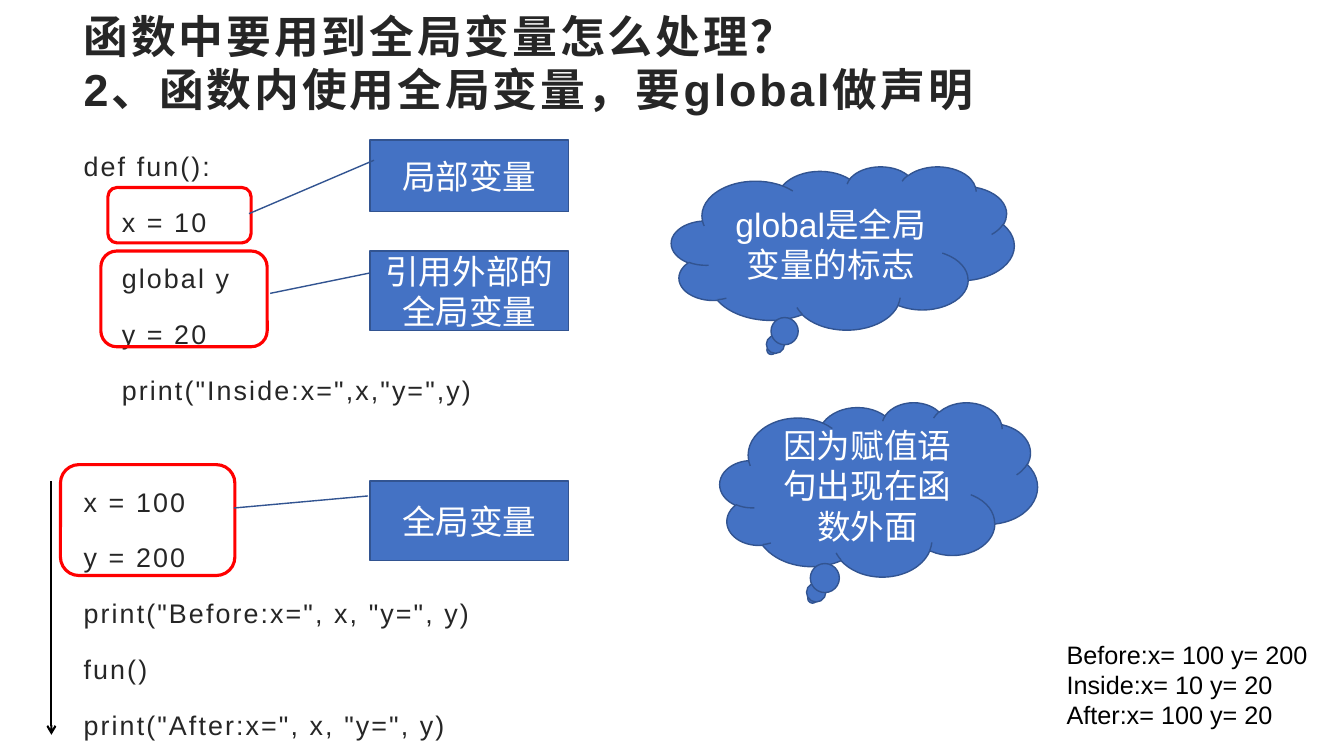
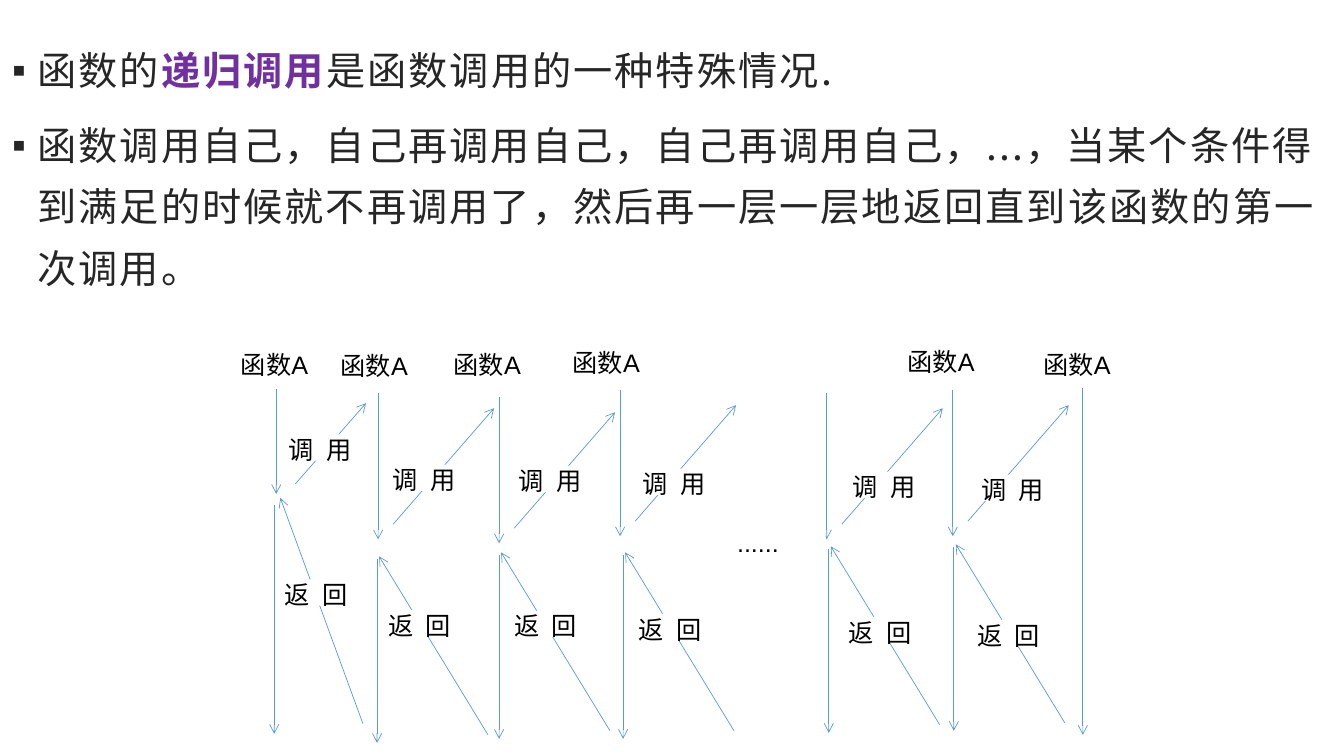
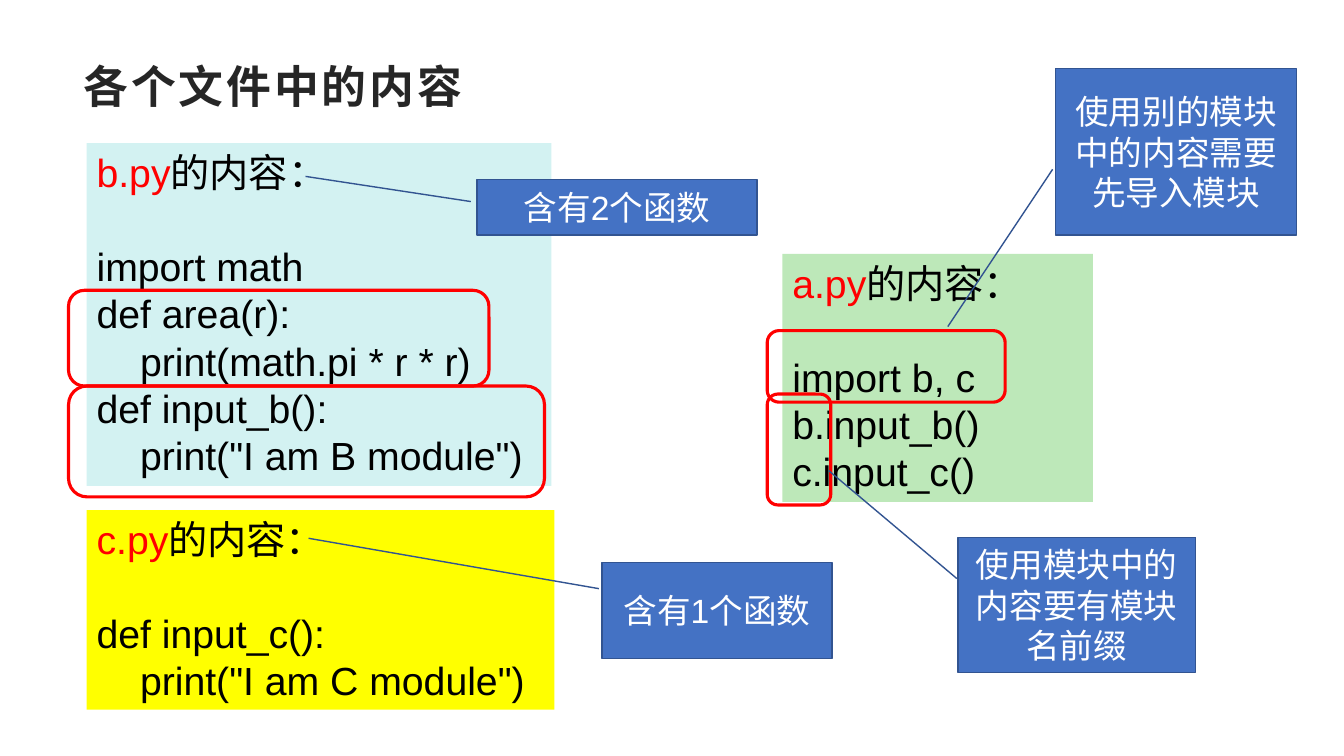
from lxml import etree
from pptx import Presentation
from pptx import util as u
from pptx.dml.color import RGBColor
from pptx.enum import shapes, text
from pptx.oxml import ns

# ---- Theme ----
COLOR = dict(ink="262626", black="000000", white="FFFFFF", red="FF0000", purple="7030A0",
             note="4472C4", note_edge="325491", flow="5B9BD5",
             cyan="D3F2F2", yellow="FFFF00", green="BDE8B9")
LATIN, CJK = "Arial", "Noto Sans CJK SC"
LEFT, CENTER = text.PP_ALIGN.LEFT, text.PP_ALIGN.CENTER
TOP, MIDDLE = text.MSO_ANCHOR.TOP, text.MSO_ANCHOR.MIDDLE
STYLE = dict(
    title=dict(size=32, color="ink", bold=True, spc=2, anchor=MIDDLE),
    code=dict(size=19.2, color="ink", spc=1.5, bullet=None,
              para=dict(line_spacing=1.3, space_after=u.Pt(10))),
    points=dict(size=28, color="ink", spc=1.5, font=CJK, bullet="▪",
                para=dict(line_spacing=1.3, space_after=u.Pt(10))),
    note=dict(size=24, color="white", anchor=MIDDLE, align=CENTER),
    panel=dict(size=28, color="black"),
    output=dict(size=18, color="black"),
    label=dict(size=18, color="black", inset=(0, 0)),
    spaced=dict(size=18, color="black", inset=(0, 0), spc=2.5),
    dots=dict(size=18, color="black", inset=(0, 0.05)),
)
SHAPE = shapes.MSO_SHAPE
MARK, ALT_MARK = SHAPE.ROUNDED_RECTANGLE, SHAPE.FLOWCHART_ALTERNATE_PROCESS
CALLOUT, CLOUD = SHAPE.LINE_CALLOUT_1, SHAPE.CLOUD_CALLOUT

# ---- Content: global variables ----
GLOBAL_TITLE = "函数中要用到全局变量怎么处理？\v2、函数内使用全局变量，要global做声明"
# A code line given as (gap before in points, runs) starts a new block.
GLOBAL_CODE = ["def fun():", "    x = 10", "    global y", "    y = 20",
               '    print("Inside:x=",x,"y=",y)', (40, "x = 100"), "y = 200",
               'print("Before:x=", x, "y=", y)', "fun()", 'print("After:x=", x, "y=", y)']
GLOBAL_OUTPUT = ["Before:x= 100 y= 200", "Inside:x= 10 y= 20", "After:x= 100 y= 20"]
GLOBAL_MARKS = [(MARK, (1.07, 1.86, 1.42, 0.55)), (MARK, (1, 2.49, 1.65, 0.95)),
                (ALT_MARK, (0.6, 4.61, 1.73, 1.1))]
# Callouts: text, box, line start and line end on the slide
GLOBAL_NOTES = [
    ("局部变量", (3.67, 1.39, 1.97, 0.71), (3.71, 1.59), (2.47, 2.12)),
    ("引用外部的全局变量", (3.67, 2.49, 1.97, 0.79), (3.66, 2.71), (2.68, 2.91)),
    ("全局变量", (3.67, 4.77, 1.97, 0.79), (3.65, 4.92), (2.32, 5.04)),
]
GLOBAL_CLOUDS = [("global是全局变量的标志", (6.66, 1.65, 3.4, 1.62)),
                 ("因为赋值语句出现在函数外面", (7.14, 3.99, 3.15, 1.73))]

# ---- Content: recursion ----
RECURSION_POINTS = [
    ["函数的", ("递归调用", dict(color="purple", bold=True)), "是函数调用的一种特殊情况."],
    "函数调用自己，自己再调用自己，自己再调用自己，...，当某个条件得到满足的时候就不再调用了，"
    "然后再一层一层地返回直到该函数的第一次调用。",
]
# Steps of one level: start offset, then run of the arrow
FIRST = dict(down=1.04, call=((0.19, 0.94), (0.7, -0.8)), back=(0.82, 2.24),
             rest=((-0.06, 0.07), 2.27))
DEEPER = dict(down=1.45, call=((0.15, 1.3), (1, -1.15)), back=(1.08, 1.77),
              rest=((-0.02, 0.03), 1.82))
# Levels: top of the descent, tip of the return, place of the call label
LEVELS = [
    (FIRST, (2.74, 3.86), (2.78, 4.94), (2.86, 4.31)),
    (DEEPER, (3.75, 3.9), (3.76, 5.52), (3.89, 4.61)),
    (DEEPER, (4.95, 3.94), (4.97, 5.48), (5.14, 4.62)),
    (DEEPER, (6.15, 3.87), (6.2, 5.48), (6.37, 4.65)),
    (DEEPER, (8.2, 3.9), (8.24, 5.42), (8.46, 4.68)),
    (DEEPER, (9.45, 3.87), (9.48, 5.4), (9.73, 4.71)),
]
LAST_LEVEL = (10.74, 3.85), (10.74, 7.29)
FUNCTION_LABELS = [(2.39, 3.47), (3.38, 3.48), (4.5, 3.47),
                   (5.68, 3.45), (9, 3.44), (10.35, 3.47)]

# ---- Content: module files ----
FILES_TITLE = "各个文件中的内容"
FILES = [
    ("b.py", "cyan", (0.86, 1.42, 4.61, 3.4),
     ["import math", "def area(r):", "    print(math.pi * r * r)",
      "def input_b():", '    print("I am B module")']),
    ("c.py", "yellow", (0.86, 5.06, 4.64, 1.98),
     ["def input_c():", '    print("I am C module")']),
    ("a.py", "green", (7.76, 2.52, 3.08, 2.46),
     ["import b, c", "b.input_b()", "c.input_c()"]),
]
FILE_MARKS = [(MARK, box) for box in [
    (0.68, 2.88, 4.17, 0.95), (0.68, 3.83, 4.72, 1.1),
    (7.61, 3.28, 2.36, 0.71), (7.61, 3.91, 0.63, 1.1)]]
FILE_NOTES = [
    ("含有2个函数", (4.73, 1.78, 2.78, 0.55), (4.67, 2), (3.03, 1.75)),
    ("含有1个函数", (5.97, 5.58, 2.28, 0.95), (5.94, 5.84), (3.06, 5.34)),
    ("使用别的模块中的内容需要先导入模块", (10.47, 0.68, 2.39, 1.65), (10.44, 1.68), (9.4, 3.24)),
    ("使用模块中的内容要有模块名前缀", (9.5, 5.33, 2.36, 1.34), (9.49, 5.74), (8.22, 4.67)),
]


# ---- Helpers ----
def rgb(name):
    return RGBColor.from_string(COLOR[name])


def add_xml(parent, tag, **attributes):
    return etree.SubElement(parent, ns.qn(tag), attributes)


def inches(values):
    return [u.Inches(v) for v in values]


def format_run(run, style):
    formats = dict(size=u.Pt(style["size"]), bold=style.get("bold", False),
                   name=style.get("font", LATIN))
    for key, value in formats.items():
        setattr(run.font, key, value)
    run.font.color.rgb = rgb(style["color"])
    properties = run._r.get_or_add_rPr()
    if "spc" in style:
        properties.set("spc", str(round(style["spc"] * 100)))
    add_xml(properties, "a:ea", typeface=CJK)


def set_bullet(paragraph, mark):
    properties = paragraph._p.get_or_add_pPr()
    indent = u.Inches(0.25) if mark else 0
    properties.set("marL", str(indent))
    properties.set("indent", str(-indent))
    if mark:
        add_xml(properties, "a:buFont", typeface=LATIN)
        add_xml(properties, "a:buChar", char=mark)
    else:
        add_xml(properties, "a:buNone")


def write(shape, lines, style_name):
    style = STYLE[style_name]
    frame = shape.text_frame
    across, down = inches(style.get("inset", (0.1, 0.05)))
    formats = dict(word_wrap=True, auto_size=text.MSO_AUTO_SIZE.NONE,
                   vertical_anchor=style.get("anchor", TOP),
                   margin_left=across, margin_right=across, margin_top=down, margin_bottom=down)
    for key, value in formats.items():
        setattr(frame, key, value)
    for i, line in enumerate(lines):
        gap, runs = line if isinstance(line, tuple) else (0, line)
        paragraph = frame.add_paragraph() if i else frame.paragraphs[0]
        if "bullet" in style:
            set_bullet(paragraph, style["bullet"])
        paragraph.alignment = style.get("align", LEFT)
        paragraph.space_before = u.Pt(gap)
        for key, value in style.get("para", {}).items():
            setattr(paragraph, key, value)
        for part in [runs] if isinstance(runs, str) else runs:
            words, changes = part if isinstance(part, tuple) else (part, {})
            for n, piece in enumerate(words.split("\v")):
                if n:
                    paragraph.add_line_break()
                run = paragraph.add_run()
                run.text = piece
                format_run(run, {**style, **changes})


def fill_placeholder(shape, box, lines, style_name):
    shape.left, shape.top, shape.width, shape.height = inches(box)
    write(shape, lines, style_name)


def add_title(slide, words, top, height):
    fill_placeholder(slide.shapes.title, (0.73, top, 11.87, height), [words], "title")


def add_box(slide, kind, box, fill=None, edge=None, width=1):
    shape = slide.shapes.add_shape(kind, *inches(box))
    shape.shadow.inherit = False
    for part, color in ((shape.fill, fill), (shape.line.fill, edge)):
        if color:
            part.solid()
            part.fore_color.rgb = rgb(color)
        else:
            part.background()
    if edge:
        shape.line.width = u.Pt(width)
    return shape


def add_marks(slide, marks):
    for kind, box in marks:
        add_box(slide, kind, box, edge="red", width=2.25)


def add_note(slide, kind, words, box):
    shape = add_box(slide, kind, box, "note", "note_edge")
    write(shape, [words], "note")
    return shape


def add_callouts(slide, notes):
    for words, box, start, end in notes:
        shape = add_note(slide, CALLOUT, words, box)
        left, top, width, height = box
        shares = [share for x, y in (start, end)
                  for share in ((y - top) / height, (x - left) / width)]
        for i, share in enumerate(shares):
            shape.adjustments[i] = share


def add_arrow(slide, start, end, color="flow", width=0.5):
    arrow = slide.shapes.add_connector(shapes.MSO_CONNECTOR.STRAIGHT, *inches(start + end))
    arrow.line.color.rgb = rgb(color)
    arrow.line.width = u.Pt(width)
    add_xml(arrow.line._get_or_add_ln(), "a:tailEnd", type="arrow")
    add_xml(arrow._element.spPr, "a:effectLst")


def add_label(slide, words, place, style_name="label", size=(0.82, 0.26)):
    write(add_box(slide, SHAPE.RECTANGLE, place + size, "white"), [words], style_name)


def move(point, by):
    return point[0] + by[0], point[1] + by[1]


# ---- Slides ----
def build_globals(slide):
    add_title(slide, GLOBAL_TITLE, 0, 1.23)
    fill_placeholder(slide.placeholders[1], (0.73, 1.34, 11.87, 6.16), GLOBAL_CODE, "code")
    add_marks(slide, GLOBAL_MARKS)
    add_callouts(slide, GLOBAL_NOTES)
    for words, box in GLOBAL_CLOUDS:
        add_note(slide, CLOUD, words, box)
    add_arrow(slide, (0.51, 4.77), (0.51, 7.29), "black", 1.5)
    output = slide.shapes.add_textbox(*inches((10.48, 6.29, 2.78, 1.01)))
    write(output, GLOBAL_OUTPUT, "output")


def build_recursion(slide):
    heading = slide.shapes.title._element
    heading.getparent().remove(heading)
    fill_placeholder(slide.placeholders[1], (0.02, 0.27, 13.32, 5.16),
                     RECURSION_POINTS, "points")
    for steps, top, tip, _ in LEVELS:
        call_start, call_run = steps["call"]
        rest_start, rest_length = steps["rest"]
        call, rest = move(top, call_start), move(tip, rest_start)
        add_arrow(slide, top, move(top, (0, steps["down"])))
        add_arrow(slide, call, move(call, call_run))
        add_arrow(slide, move(tip, steps["back"]), tip)
        add_arrow(slide, rest, move(rest, (0, rest_length)))
    add_arrow(slide, *LAST_LEVEL)
    add_label(slide, "......", (7.31, 5.18), "dots", (0.88, 0.41))
    for place in FUNCTION_LABELS:
        add_label(slide, "函数A", place)
    for *_, place in LEVELS:
        add_label(slide, "调 用", place, "spaced")
        add_label(slide, "返 回", move(place, (-0.04, 1.44)), "spaced")
    # The descent beside the dots stays above their box
    steps, top, *_ = LEVELS[4]


def build_files(slide):
    add_title(slide, FILES_TITLE, 0.48, 0.74)
    for name, color, box, (first, *others) in FILES:
        heading = [(name, dict(color="red")), "的内容："]
        panel = add_box(slide, SHAPE.RECTANGLE, box, color)
        write(panel, [heading, (34, first), *others], "panel")
    add_marks(slide, FILE_MARKS)
    add_callouts(slide, FILE_NOTES)


def main():
    deck = Presentation()
    deck.slide_width, deck.slide_height = inches((13.33, 7.5))
    for layout, build in ((1, build_globals), (1, build_recursion), (5, build_files)):
        build(deck.slides.add_slide(deck.slide_layouts[layout]))
    deck.save("out.pptx")


if __name__ == "__main__":
    main()
